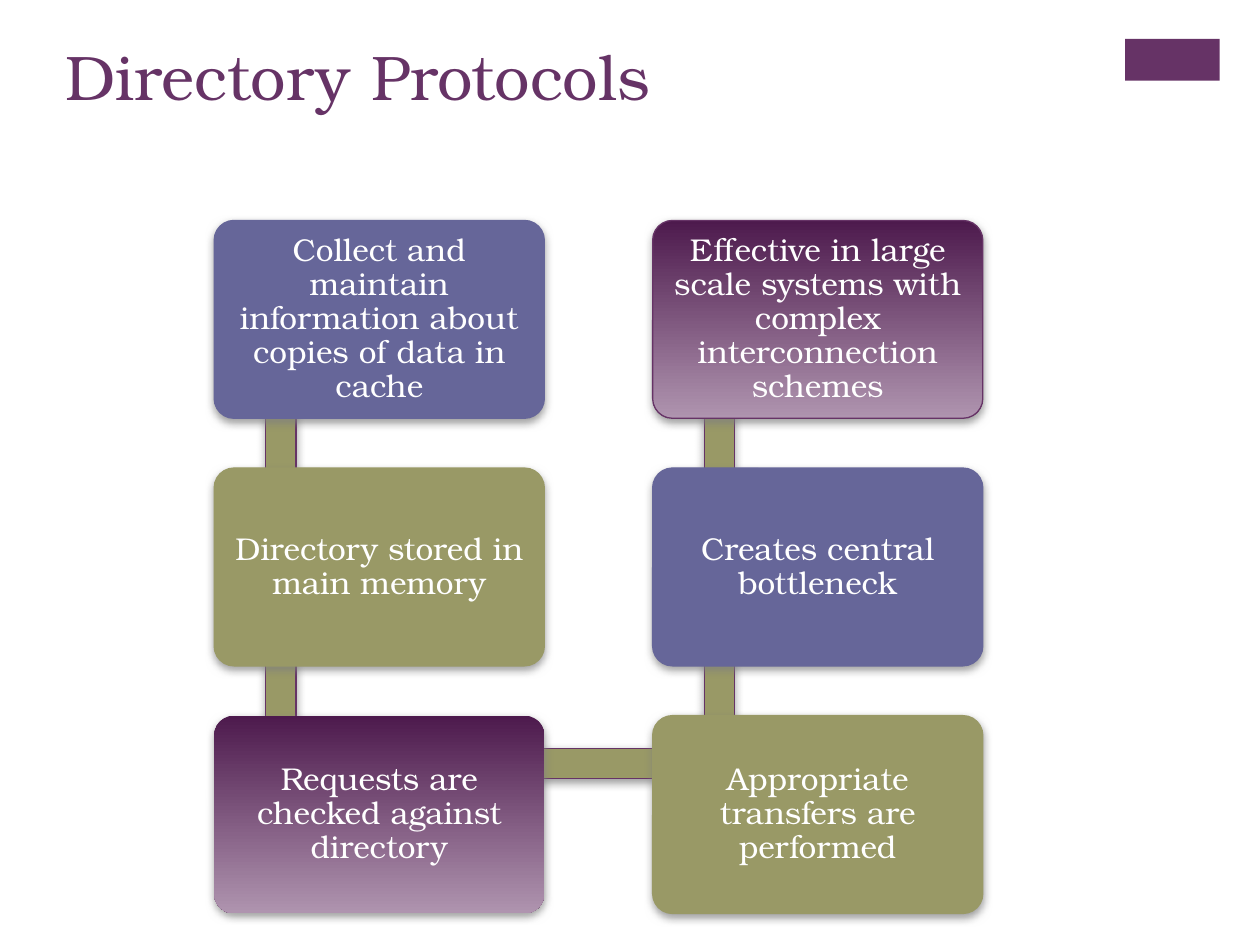
"""Build the Directory Protocols slide: six linked cards in a snake of two columns."""
import pptx
import pptx.dml.color
import pptx.enum.shapes
import pptx.enum.text
import pptx.oxml
import pptx.oxml.ns
import pptx.util

RGBColor = pptx.dml.color.RGBColor
Inches = pptx.util.Inches
SHAPES = pptx.enum.shapes.MSO_SHAPE
ANCHOR = pptx.enum.text.MSO_ANCHOR
ALIGN = pptx.enum.text.PP_ALIGN

PLUM = RGBColor(0x66, 0x33, 0x66)
BLUE = RGBColor(0x66, 0x66, 0x99)
OLIVE = RGBColor(0x99, 0x99, 0x66)
DARK_PLUM = RGBColor(0x4D, 0x1A, 0x4D)
PALE_PLUM = RGBColor(0xAF, 0x94, 0xAF)
WHITE = RGBColor(0xFF, 0xFF, 0xFF)
SHADOW_GREY = RGBColor(0x80, 0x80, 0x80)
GRADIENT = [DARK_PLUM, PALE_PLUM]

FONT = "TeX Gyre Bonum"
GRID_LEFT, GRID_TOP = 1.7, 1.75
COLUMN_STEP, ROW_STEP = 3.48, 1.965
CARD_WIDTH, CARD_HEIGHT = 2.62, 1.57
LINK_THICKNESS = 0.24

CARDS = [
    (0, 0, "Collect and maintain information about copies of data in cache", BLUE, BLUE),
    (0, 1, "Directory stored in main memory", OLIVE, OLIVE),
    (0, 2, "Requests are checked against directory", GRADIENT, None),
    (1, 2, "Appropriate transfers are performed", OLIVE, OLIVE),
    (1, 1, "Creates central bottleneck", BLUE, BLUE),
    (1, 0, "Effective in large scale systems with complex interconnection schemes", GRADIENT, PLUM),
]


def grid_position(column, row):
    """Return the left and top of a grid cell in inches."""
    return GRID_LEFT + column * COLUMN_STEP, GRID_TOP + row * ROW_STEP


def add_shadow(shape):
    """Give a shape a soft shadow that falls straight down."""
    effects = pptx.oxml.parse_xml(
        f'<a:effectLst {pptx.oxml.ns.nsdecls("a")}>'
        '<a:outerShdw blurRad="63500" dist="25400" dir="5400000" rotWithShape="0">'
        f'<a:srgbClr val="{SHADOW_GREY}"><a:alpha val="75000"/></a:srgbClr>'
        "</a:outerShdw></a:effectLst>"
    )
    properties = shape.element.spPr
    properties.replace(properties.find(pptx.oxml.ns.qn("a:effectLst")), effects)


def add_block(slide, kind, left, top, width, height, fill, line=None, shadow=True):
    """Add a preset shape with one fill colour or a list of two gradient colours."""
    shape = slide.shapes.add_shape(
        kind, Inches(left), Inches(top), Inches(width), Inches(height)
    )
    if isinstance(fill, list):
        shape.fill.gradient()
        shape.fill.gradient_angle = 270
        for stop, color in zip(shape.fill.gradient_stops, fill):
            stop.color.rgb = color
    else:
        shape.fill.solid()
        shape.fill.fore_color.rgb = fill
    if line is None:
        shape.line.fill.background()
    else:
        shape.line.color.rgb = line
        shape.line.width = pptx.util.Pt(0.75)
    shape.shadow.inherit = False
    if shadow:
        add_shadow(shape)
    return shape


def write_text(shape, text, size=18, color=WHITE, align=ALIGN.CENTER,
               anchor=ANCHOR.MIDDLE, spacing=0.9, margins=(0.12, 0.12)):
    """Write one formatted paragraph into a shape."""
    frame = shape.text_frame
    frame.word_wrap = True
    frame.vertical_anchor = anchor
    frame.margin_left = frame.margin_right = Inches(margins[0])
    frame.margin_top = frame.margin_bottom = Inches(margins[1])
    paragraph = frame.paragraphs[0]
    paragraph.alignment = align
    paragraph.line_spacing = spacing
    run = paragraph.add_run()
    run.text = text
    run.font.name = FONT
    run.font.size = pptx.util.Pt(size)
    run.font.color.rgb = color


def add_link(slide, start, end):
    """Add the bar that joins two neighbouring grid cells."""
    left, top = grid_position(min(start[0], end[0]), min(start[1], end[1]))
    if start[0] == end[0]:
        box = (left + 0.41, top + 0.39, LINK_THICKNESS, 1.95)
    else:
        box = (left + 0.54, top + 0.26, 3.47, LINK_THICKNESS)
    add_block(slide, SHAPES.RECTANGLE, *box, OLIVE, PLUM)


def add_card(slide, column, row, text, fill, line):
    """Add a rounded card with its text at a grid cell."""
    card = add_block(slide, SHAPES.ROUNDED_RECTANGLE, *grid_position(column, row),
                     CARD_WIDTH, CARD_HEIGHT, fill, line)
    card.adjustments[0] = 0.1
    write_text(card, text)


def main():
    """Build and save the presentation."""
    presentation = pptx.Presentation()
    presentation.slide_width = Inches(10)
    presentation.slide_height = Inches(7.5)
    slide = presentation.slides.add_slide(presentation.slide_layouts[6])

    add_block(slide, SHAPES.RECTANGLE, 8.93, 0.31, 0.75, 0.33, PLUM, shadow=False)
    title = slide.shapes.add_textbox(Inches(0.42), Inches(0.25), Inches(8.26), Inches(1.22))
    write_text(title, "Directory Protocols", size=36, color=PLUM, align=ALIGN.LEFT,
               anchor=ANCHOR.TOP, spacing=1.0, margins=(0.1, 0.05))

    for start, end in zip(CARDS, CARDS[1:]):
        add_link(slide, start[:2], end[:2])
    for card in CARDS:
        add_card(slide, *card)
    presentation.save("out.pptx")


if __name__ == "__main__":
    main()
